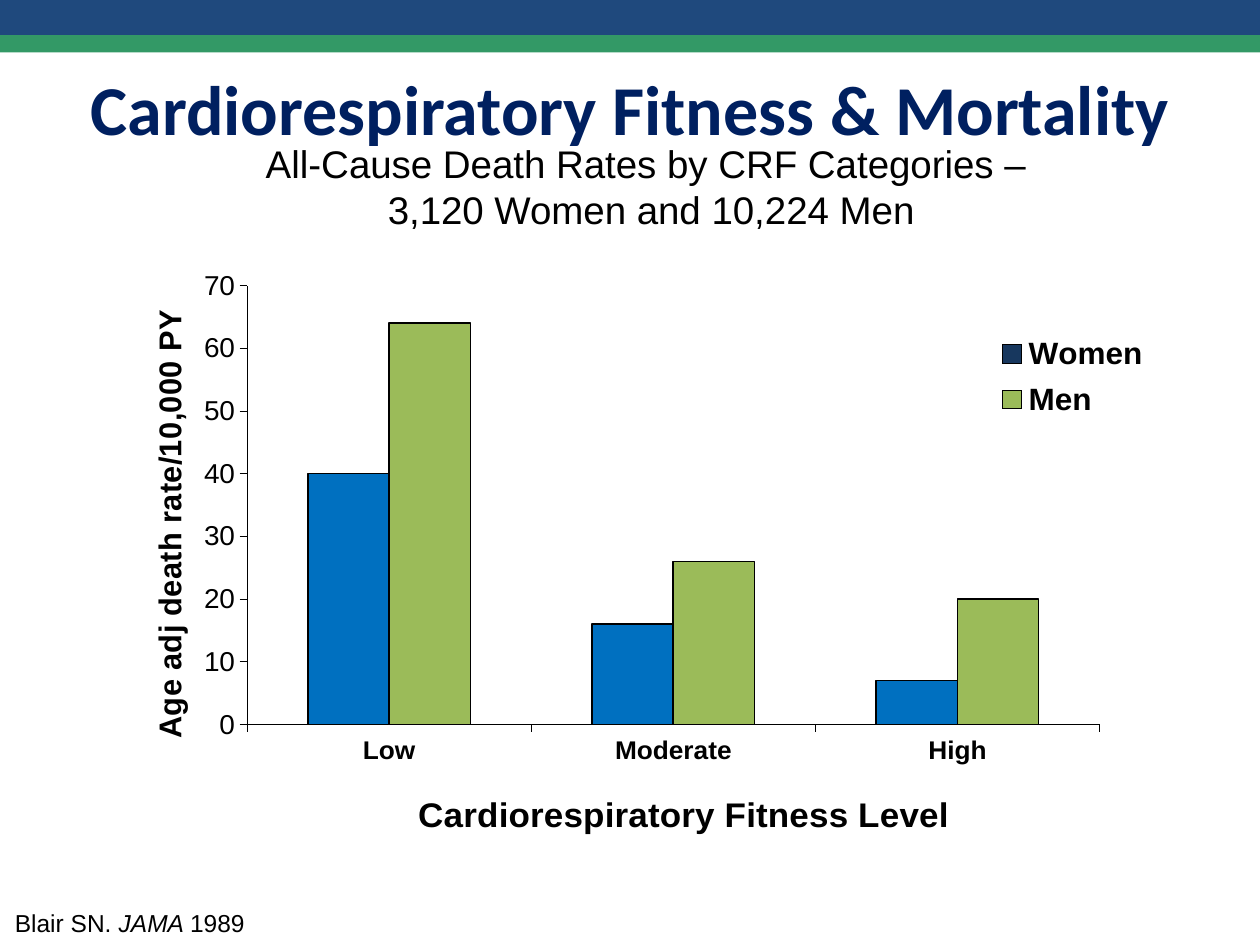
"""Build the slide on cardiorespiratory fitness and mortality."""
from lxml import etree
from pptx import Presentation
from pptx import util as u
from pptx.chart import data as chart_data
from pptx.dml import color
from pptx.enum import chart as charts, shapes, text
from pptx.oxml import ns


def paint(target, value):
    if hasattr(target, "solid"):
        target.solid()
        target = target.fore_color
    target.rgb = color.RGBColor.from_string(value)


def write(para, content, size, name="Arial", value="000000", bold=False, italic=False):
    span = para.add_run()
    span.text = content
    span.font.size = u.Pt(size)
    span.font.name = name
    span.font.bold = bold
    span.font.italic = italic
    paint(span.font.color, value)


deck = Presentation()
deck.slide_width, deck.slide_height = u.Cm(25.4), u.Cm(19.05)
page = deck.slides.add_slide(deck.slide_layouts[6])

subtitle = page.shapes.add_textbox(u.Cm(1.7), u.Cm(2.54), u.Cm(22.86), u.Cm(2.41)).text_frame
subtitle.word_wrap = True
subtitle.vertical_anchor = text.MSO_ANCHOR.MIDDLE
lines = ["All-Cause Death Rates by CRF Categories – ", "3,120 Women and 10,224 Men"]
for index, line in enumerate(lines):
    para = subtitle.add_paragraph() if index else subtitle.paragraphs[0]
    para.alignment = text.PP_ALIGN.CENTER
    write(para, line, 22)

rates = chart_data.CategoryChartData()
rates.categories = ["Low", "Moderate", "High"]
rates.add_series("Women", [40, 16, 7])
rates.add_series("Men", [64, 26, 20])
chart = page.shapes.add_chart(
    charts.XL_CHART_TYPE.COLUMN_CLUSTERED,
    u.Cm(1.98), u.Cm(5.44), u.Cm(22.58), u.Cm(11.61), rates,
).chart
chart.has_title = False
chart.font.name, chart.font.size, chart.font.bold = "Arial", u.Pt(17), True
paint(chart.font.color, "000000")

plot = chart.plots[0]
plot.gap_width, plot.overlap = 150, 0
plot.vary_by_categories = False
for series, fill in zip(plot.series, ["17375E", "9BBB59"]):
    paint(series.format.fill, fill)
    paint(series.format.line.fill, "000000")
    series.format.line.width = u.Pt(0.95)
women = plot.series[0]
for index in range(len(rates.categories)):
    bar = women.points[index].format
    paint(bar.fill, "0070C0")
    paint(bar.line.fill, "000000")
    bar.line.width = u.Pt(0.95)

axes = [
    (chart.category_axis, "Cardiorespiratory Fitness Level", 20, 15, True),
    (chart.value_axis, "Age adj death rate/10,000 PY", 18, 16, False),
]
for axis, title, title_size, label_size, bold in axes:
    write(axis.axis_title.text_frame.paragraphs[0], title, title_size, bold=True)
    axis.has_major_gridlines = False
    axis.major_tick_mark = charts.XL_TICK_MARK.OUTSIDE
    labels = axis.tick_labels.font
    labels.name, labels.size, labels.bold = "Arial", u.Pt(label_size), bold
    paint(labels.color, "000000")
    paint(axis.format.line.fill, "000000")
    axis.format.line.width = u.Pt(0.25)
chart.category_axis.tick_label_position = charts.XL_TICK_LABEL_POSITION.LOW
scale = chart.value_axis
scale.minimum_scale, scale.maximum_scale, scale.major_unit = 0, 70, 10

chart.has_legend = True
legend = chart.legend
legend.position = charts.XL_LEGEND_POSITION.RIGHT
legend.include_in_layout = False
legend.font.name, legend.font.size, legend.font.bold = "Arial", u.Pt(18), True
paint(legend.font.color, "000000")

plot_area = chart._chartSpace.find(".//" + ns.qn("c:plotArea"))
places = [
    (plot_area, 0, {"x": 0.133, "y": 0.028, "w": 0.761, "h": 0.781}),
    (legend._element, 1, {"x": 0.78, "y": 0.1, "w": 0.18, "h": 0.18}),
    (chart.category_axis.axis_title._element, 1, {"x": 0.28, "y": 0.92}),
    (chart.value_axis.axis_title._element, 1, {"x": 0.04, "y": 0.08}),
]
for part, position, place in places:
    for old in part.findall(ns.qn("c:layout")):
        part.remove(old)
    layout = etree.Element(ns.qn("c:layout"))
    manual = etree.SubElement(layout, ns.qn("c:manualLayout"))
    if part is plot_area:
        etree.SubElement(manual, ns.qn("c:layoutTarget"), val="inner")
    for mode in ("xMode", "yMode"):
        etree.SubElement(manual, ns.qn("c:" + mode), val="edge")
    for key, share in place.items():
        etree.SubElement(manual, ns.qn("c:" + key), val=str(share))
    part.insert(position, layout)

citation = page.shapes.add_textbox(u.Cm(0.05), u.Cm(18.19), u.Cm(5.72), u.Cm(0.86)).text_frame
citation.word_wrap = True
for content, italic in [("Blair SN. ", False), ("JAMA ", True), ("1989", False)]:
    write(citation.paragraphs[0], content, 14, italic=italic)

heading = page.shapes.add_textbox(0, u.Cm(0.84), u.Cm(25.4), u.Cm(2.11)).text_frame
heading.word_wrap = True
para = heading.paragraphs[0]
para.alignment = text.PP_ALIGN.CENTER
para.line_spacing = u.Pt(58)
write(para, "Cardiorespiratory Fitness & Mortality", 40, name="Calibri", value="002060", bold=True)

for top, height, fill in [(0, 0.71, "1F497D"), (0.71, 0.35, "339966")]:
    band = page.shapes.add_shape(
        shapes.MSO_SHAPE.RECTANGLE, 0, u.Cm(top), deck.slide_width, u.Cm(height)
    )
    band.shadow.inherit = False
    paint(band.fill, fill)
    if top:
        band.line.fill.background()
    else:
        paint(band.line.fill, fill)
        band.line.width = u.Pt(0.75)

deck.save("out.pptx")
